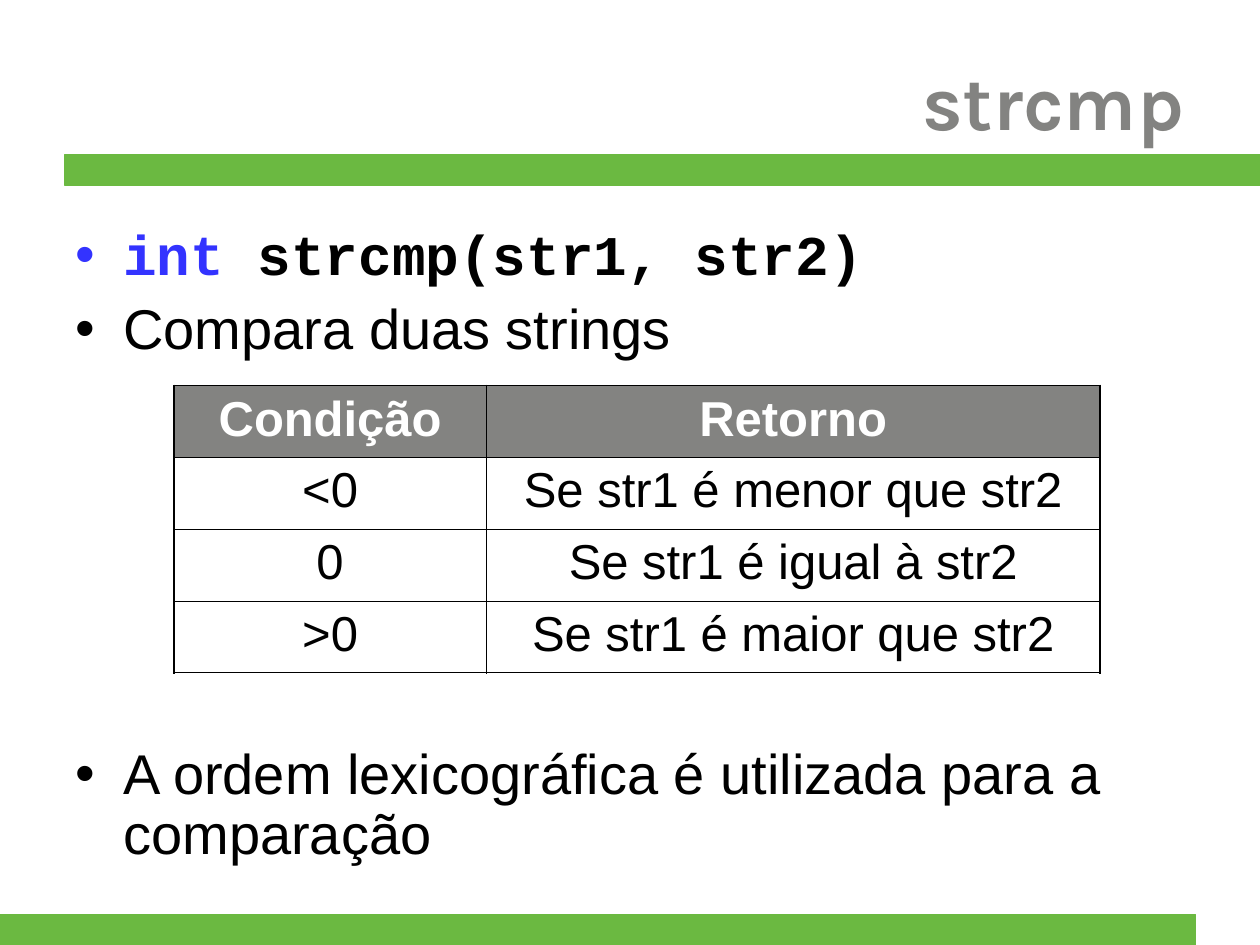
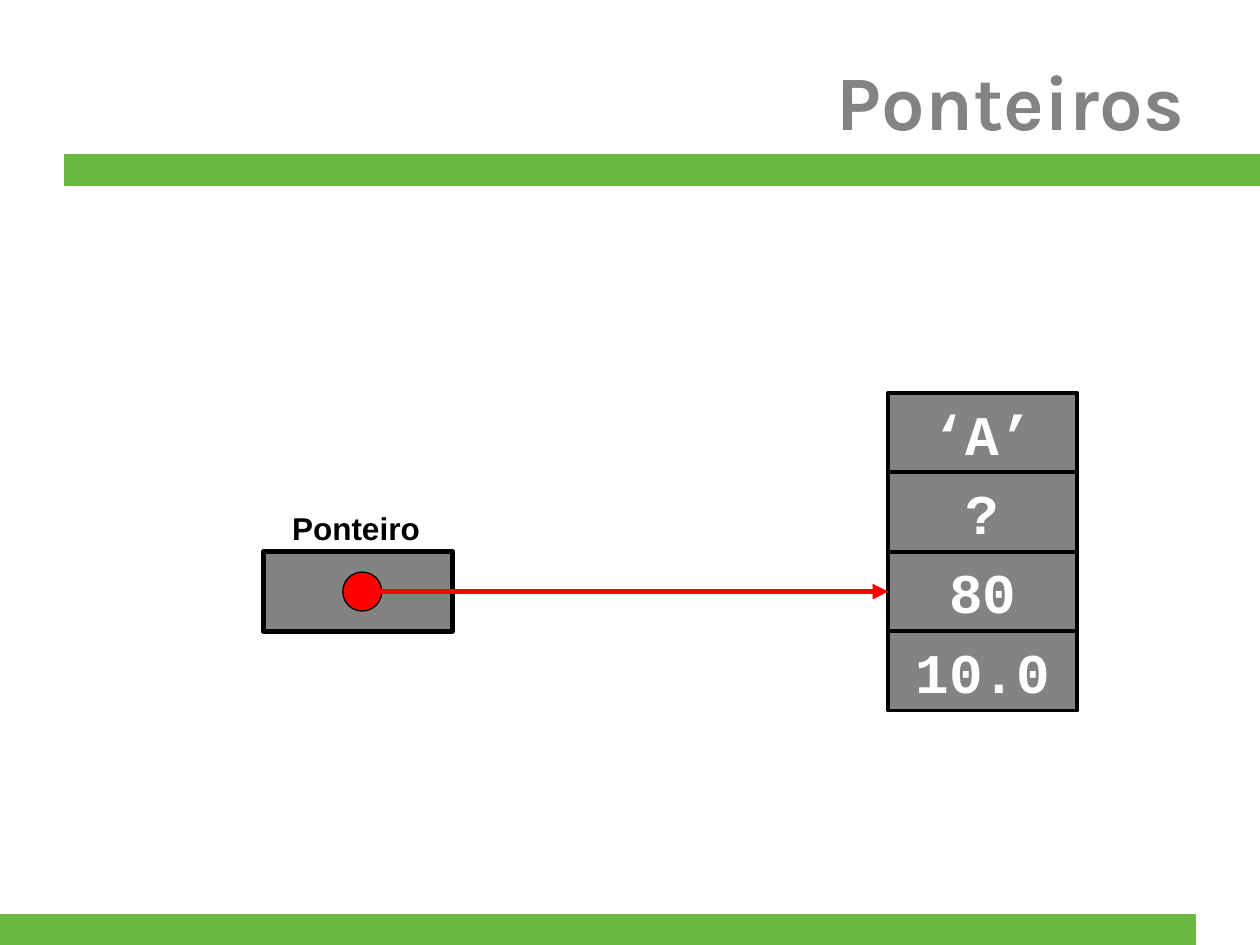
import lxml.etree
import pptx
import pptx.dml.color
import pptx.enum.shapes
import pptx.enum.text
import pptx.oxml.ns
import pptx.util

Inches = pptx.util.Inches
Pt = pptx.util.Pt
SHAPE = pptx.enum.shapes.MSO_SHAPE
ALIGN = pptx.enum.text.PP_ALIGN
ANCHOR = pptx.enum.text.MSO_ANCHOR
qn = pptx.oxml.ns.qn

GREEN, GRAY, BLUE, RED = "6BB941", "838381", "3333FF", "FF0000"
BLACK, WHITE = "000000", "FFFFFF"
TITLE = dict(name="Karla", size=Pt(44), bold=True, color=GRAY)
BODY = dict(name="Arial", size=Pt(32), bold=False, color=BLACK)
CODE = dict(name="Courier New", size=Pt(32), bold=True, color=BLACK)
HEADER = dict(BODY, size=Pt(28), bold=True, color=WHITE)
ENTRY = dict(BODY, size=Pt(28))
LABEL = dict(BODY, size=Pt(18), bold=True)


def rgb(value):
    return pptx.dml.color.RGBColor.from_string(value)


def add_xml(parent, tag, **attrs):
    return lxml.etree.SubElement(parent, qn(tag), attrs)


class Deck:
    def __init__(self):
        self.prs = pptx.Presentation()
        self.prs.slide_width = Inches(10)
        self.prs.slide_height = Inches(7.5)
        self.s = None

    def slide(self, title):
        self.s = self.prs.slides.add_slide(self.prs.slide_layouts[5])
        for left, top in ((0.51, 1.23), (0, 7.26)):
            self.shape(SHAPE.RECTANGLE, left, top, 9.49, 0.24, GREEN, GREEN, 0.75)
        sp = self.s.shapes.title
        sp.left, sp.top, sp.width, sp.height = map(Inches, (0.5, 0.44, 9, 0.71))
        tf = sp.text_frame
        tf.auto_size = pptx.enum.text.MSO_AUTO_SIZE.NONE
        tf.vertical_anchor = ANCHOR.MIDDLE
        self.run(tf.paragraphs[0], title, TITLE, ALIGN.RIGHT)

    def run(self, p, text, style, align=None):
        if align is not None:
            p.alignment = align
        r = p.add_run()
        r.text = text
        for key, value in style.items():
            if key == "color":
                r.font.color.rgb = rgb(value)
            else:
                setattr(r.font, key, value)

    def shape(self, kind, left, top, width, height, fill, line, weight, text=None):
        sp = self.s.shapes.add_shape(kind, *map(Inches, (left, top, width, height)))
        sp.shadow.inherit = False
        sp.fill.solid()
        sp.fill.fore_color.rgb = rgb(fill)
        sp.line.color.rgb = rgb(line)
        sp.line.width = Pt(weight)
        if text:
            tf = sp.text_frame
            tf.word_wrap = False
            tf.vertical_anchor = ANCHOR.MIDDLE
            self.run(tf.paragraphs[0], text, dict(CODE, color=WHITE), ALIGN.CENTER)
        return sp

    def text_box(self, left, top, width, height):
        tf = self.s.shapes.add_textbox(*map(Inches, (left, top, width, height))).text_frame
        tf.word_wrap = True
        return tf

    def label(self, text, left, top, width, height):
        self.run(self.text_box(left, top, width, height).paragraphs[0], text, LABEL)

    def bullets(self, top, height, items):
        tf = self.text_box(0.5, top, 9, height)
        for i, runs in enumerate(items):
            p = tf.add_paragraph() if i else tf.paragraphs[0]
            pPr = p._p.get_or_add_pPr()
            pPr.set("marL", str(Inches(0.38)))
            pPr.set("indent", str(-Inches(0.38)))
            add_xml(add_xml(pPr, "a:buClr"), "a:srgbClr", val=runs[0][1]["color"])
            add_xml(pPr, "a:buFont", typeface="Arial")
            add_xml(pPr, "a:buChar", char="•")
            p.line_spacing = 0.9
            if i:
                p.space_before = Pt(8)
            for text, style in runs:
                self.run(p, text, style)

    def table(self, left, top, col_widths, row_height, rows):
        n_rows, n_cols = len(rows), len(col_widths)
        size = map(Inches, (left, top, sum(col_widths), row_height * n_rows))
        tbl = self.s.shapes.add_table(n_rows, n_cols, *size).table
        tbl.first_row = tbl.horz_banding = False
        for col, width in zip(tbl.columns, col_widths):
            col.width = Inches(width)
        for i, texts in enumerate(rows):
            tbl.rows[i].height = Inches(row_height)
            for j, text in enumerate(texts):
                cell = tbl.cell(i, j)
                self.borders(cell, L=j == 0, R=j == n_cols - 1, T=i == 0, B=i == n_rows - 1)
                if i == 0:
                    cell.fill.solid()
                    cell.fill.fore_color.rgb = rgb(GRAY)
                else:
                    cell.fill.background()
                style = ENTRY if i else HEADER
                self.run(cell.text_frame.paragraphs[0], text, style, ALIGN.CENTER)

    def borders(self, cell, **outer_sides):
        tcPr = cell._tc.get_or_add_tcPr()
        for side, outer in outer_sides.items():
            ln = add_xml(tcPr, "a:ln" + side, w=str(Pt(1.08 if outer else 0.45)))
            add_xml(add_xml(ln, "a:solidFill"), "a:srgbClr", val=BLACK)

    def arrow(self, x, y, target, site):
        kind = pptx.enum.shapes.MSO_CONNECTOR.STRAIGHT
        cx = self.s.shapes.add_connector(kind, Inches(x), Inches(y), target.left, Inches(y))
        cx.end_connect(target, site)
        cx.line.color.rgb = rgb(RED)
        cx.line.width = Pt(3)
        spPr = cx._element.spPr
        add_xml(spPr.find(qn("a:ln")), "a:tailEnd", type="triangle")
        add_xml(spPr, "a:effectLst")


def strcmp_slide(deck):
    deck.slide("strcmp")
    deck.bullets(1.75, 1.2, [
        [("int", dict(CODE, color=BLUE)), (" strcmp(str1, str2)", CODE)],
        [("Compara duas strings", BODY)],
    ])
    deck.table(1.38, 3.06, (2.48, 4.87), 0.57, [
        ("Condição", "Retorno"),
        ("<0", "Se str1 é menor que str2"),
        ("0", "Se str1 é igual à str2"),
        (">0", "Se str1 é maior que str2"),
    ])
    deck.bullets(5.87, 1.19, [
        [("A ordem lexicográfica é utilizada para a comparação", BODY)],
    ])


def pointers_slide(deck):
    deck.slide("Ponteiros")
    width, height, top = 1.5, 0.63, 3.12
    memory = [
        deck.shape(SHAPE.RECTANGLE, 7.05, top + i * height, width, height,
                   GRAY, BLACK, 2.25, text)
        for i, text in enumerate(("‘A’", "?", "80", "10.0"))
    ]
    pointer_top = top + 2 * height
    middle = pointer_top + height / 2
    diameter = 0.31
    deck.shape(SHAPE.RECTANGLE, 2.09, pointer_top, width, height, GRAY, BLACK, 3)
    deck.shape(SHAPE.OVAL, 2.72, middle - diameter / 2, diameter, diameter, RED, BLACK, 0.75)
    deck.arrow(2.8, middle, memory[2], 1)
    deck.label("Ponteiro", 2.22, 3.99, 1.28, 0.4)


def main():
    deck = Deck()
    strcmp_slide(deck)
    pointers_slide(deck)
    deck.prs.save("out.pptx")


if __name__ == "__main__":
    main()
